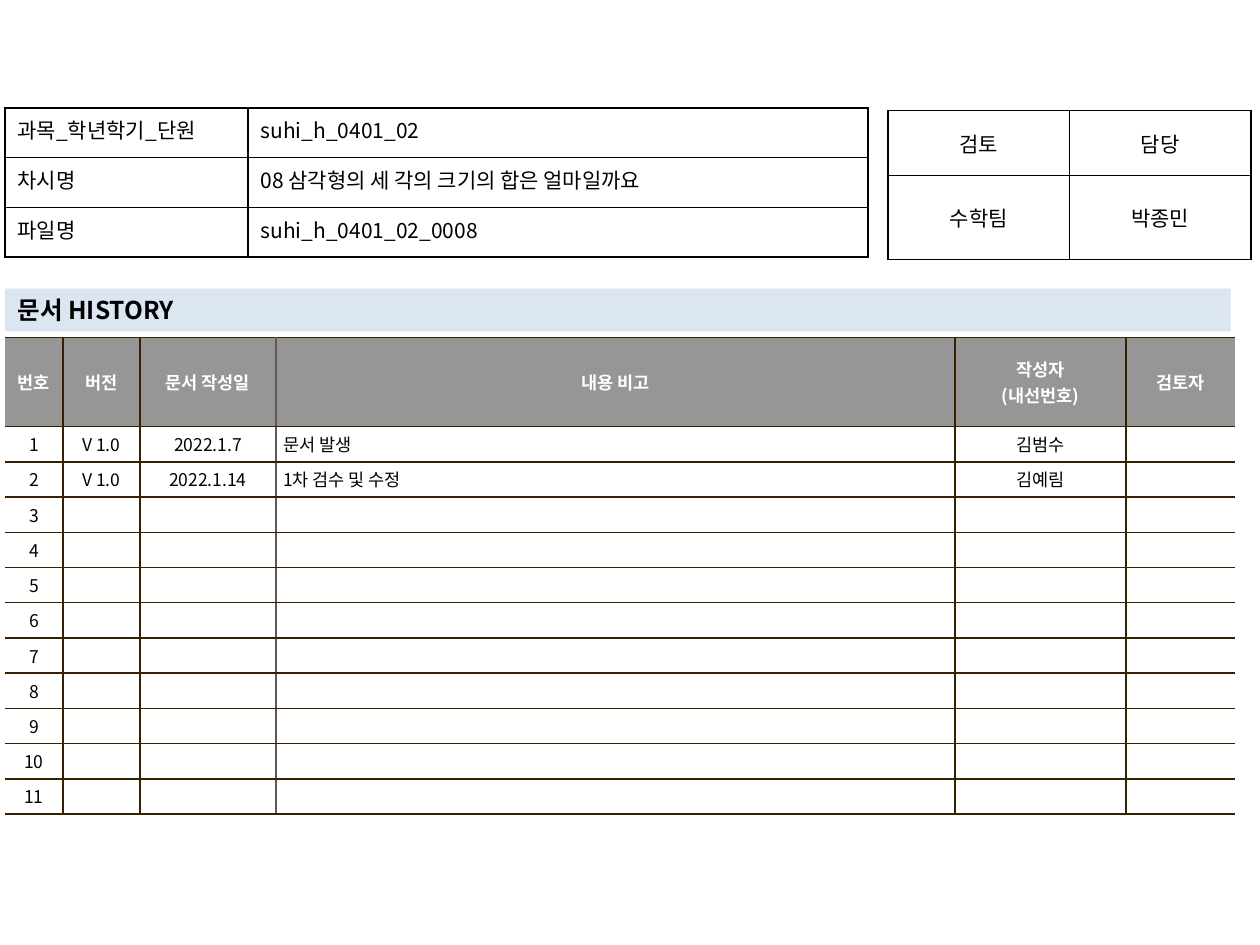
import pptx
import pptx.util
import pptx.dml.color
import pptx.enum.text
import pptx.oxml.ns
from lxml import etree

Cm, Pt = pptx.util.Cm, pptx.util.Pt
RGB = pptx.dml.color.RGBColor
ALIGN = pptx.enum.text.PP_ALIGN
MID = pptx.enum.text.MSO_ANCHOR.MIDDLE
TOP = pptx.enum.text.MSO_ANCHOR.TOP
qn = pptx.oxml.ns.qn

FONT = "Noto Sans CJK KR"
PLAIN = "{2D5ABB26-0587-4C30-8999-92F81FD0307C}"  # table style without grid
BLACK = RGB(0x00, 0x00, 0x00)
WHITE = RGB(0xFF, 0xFF, 0xFF)
GRAY = RGB(0x96, 0x96, 0x96)
PALE = RGB(0xDC, 0xE6, 0xF2)
BROWN = RGB(0x36, 0x20, 0x00)
TAUPE = RGB(0x64, 0x5B, 0x4C)

# Content
TITLE = "문서 HISTORY"
INFO = [
    ("과목_학년학기_단원", "suhi_h_0401_02"),
    ("차시명", "08 삼각형의 세 각의 크기의 합은 얼마일까요"),
    ("파일명", "suhi_h_0401_02_0008"),
]
REVIEW = [("검토", "담당"), ("수학팀", "박종민")]
HEADS = ("번호", "버전", "문서 작성일", "내용 비고", "작성자\n(내선번호)", "검토자")
LOG = [
    ("V 1.0", "2022.1.7", "문서 발생", "김범수", ""),
    ("V 1.0", "2022.1.14", "1차 검수 및 수정", "김예림", ""),
]
COUNT = 11  # numbered history rows
NOTE = 3    # column of the remarks


def put(frame, text, size=12, color=BLACK, bold=False, align=ALIGN.LEFT, hang=0):
    """Write text, one paragraph per line."""
    frame.text = text
    for para in frame.paragraphs:
        para.alignment = align
        if hang:
            props = para._p.get_or_add_pPr()
            props.set("marL", str(hang))
            props.set("indent", str(-hang))
        for run in para.runs:
            font = run.font
            font.name, font.size, font.bold = FONT, Pt(size), bold
            font.color.rgb = color
            east = etree.SubElement(run._r.get_or_add_rPr(), qn("a:ea"))
            east.set("typeface", FONT)
        if not para.runs:  # keeps an empty row at the text height
            end = etree.SubElement(para._p, qn("a:endParaRPr"))
            end.set("sz", str(size * 100))


def edge(cell, **sides):
    """Draw cell borders; sides are L, R, T, B, and None hides one."""
    props = cell._tc.get_or_add_tcPr()
    for pos, side in enumerate("LRTB"):
        line = etree.Element(qn("a:ln" + side), w=str(Pt(1)))
        color = sides[side]
        if color is None:
            etree.SubElement(line, qn("a:noFill"))
        else:
            fill = etree.SubElement(line, qn("a:solidFill"))
            etree.SubElement(fill, qn("a:srgbClr"), val=str(color))
        props.insert(pos, line)


def grid(slide, left, top, cols, rows):
    """Add an unstyled table with these column widths and row heights."""
    frame = slide.shapes.add_table(len(rows), len(cols), Cm(left), Cm(top),
                                   Cm(sum(cols)), Cm(sum(rows)))
    table = frame.table
    table.first_row = table.horz_banding = False
    table._tbl.tblPr.find(qn("a:tableStyleId")).text = PLAIN
    for col, width in zip(table.columns, cols):
        col.width = Cm(width)
    for row, height in zip(table.rows, rows):
        row.height = Cm(height)
    return table


def box(slide, left, top, cols, rows, data, aligns, anchor):
    """Add a fully framed black table."""
    table = grid(slide, left, top, cols, rows)
    for r, row in enumerate(data):
        for c, text in enumerate(row):
            cell = table.cell(r, c)
            cell.vertical_anchor = anchor
            cell.fill.background()
            put(cell.text_frame, text, align=aligns[c])
            edge(cell, L=BLACK, R=BLACK, T=BLACK, B=BLACK)


def history(slide):
    """Add the history table, open at its left and right ends."""
    cols = (1.17, 1.55, 2.74, 13.69, 3.45, 2.2)
    table = grid(slide, 0.1, 6.8, cols, [1.8] + [0.71] * COUNT)
    blank = ("",) * (len(HEADS) - 1)
    data = [HEADS]
    for n in range(COUNT):
        data.append((str(n + 1),) + (LOG[n] if n < len(LOG) else blank))
    rules = [None] + [BROWN] * (len(HEADS) - 1) + [None]
    rules[NOTE] = TAUPE
    for r, row in enumerate(data):
        head = r == 0
        for c, text in enumerate(row):
            cell = table.cell(r, c)
            cell.vertical_anchor = MID
            cell.margin_left = cell.margin_right = Cm(0.15)
            cell.margin_top = cell.margin_bottom = Cm(0.1)
            cell.fill.solid()
            cell.fill.fore_color.rgb = GRAY if head else WHITE
            note = c == NOTE and not head
            put(cell.text_frame, text, size=10, bold=head,
                color=WHITE if head else BLACK,
                align=ALIGN.LEFT if note else ALIGN.CENTER,
                hang=Cm(0.48) if note else 0)
            edge(cell, L=rules[c], R=rules[c + 1], T=BROWN, B=BROWN)


def main():
    deck = pptx.Presentation()
    deck.slide_width, deck.slide_height = Cm(25.4), Cm(19.05)
    slide = deck.slides.add_slide(deck.slide_layouts[5])

    # Section title bar
    title = slide.shapes.title
    title.left, title.top = Cm(0.1), Cm(5.82)
    title.width, title.height = Cm(24.71), Cm(0.86)
    title.fill.solid()
    title.fill.fore_color.rgb = PALE
    title.text_frame.vertical_anchor = MID
    title.text_frame.auto_size = pptx.enum.text.MSO_AUTO_SIZE.NONE
    put(title.text_frame, TITLE, size=14, bold=True)

    # Tables
    history(slide)
    box(slide, 17.9, 2.23, (3.66, 3.66), (1.31, 1.69), REVIEW,
        (ALIGN.CENTER, ALIGN.CENTER), MID)
    box(slide, 0.1, 2.18, (4.9, 12.5), (1, 1, 1), INFO,
        (ALIGN.JUSTIFY, ALIGN.LEFT), TOP)

    deck.save("out.pptx")


if __name__ == "__main__":
    main()
